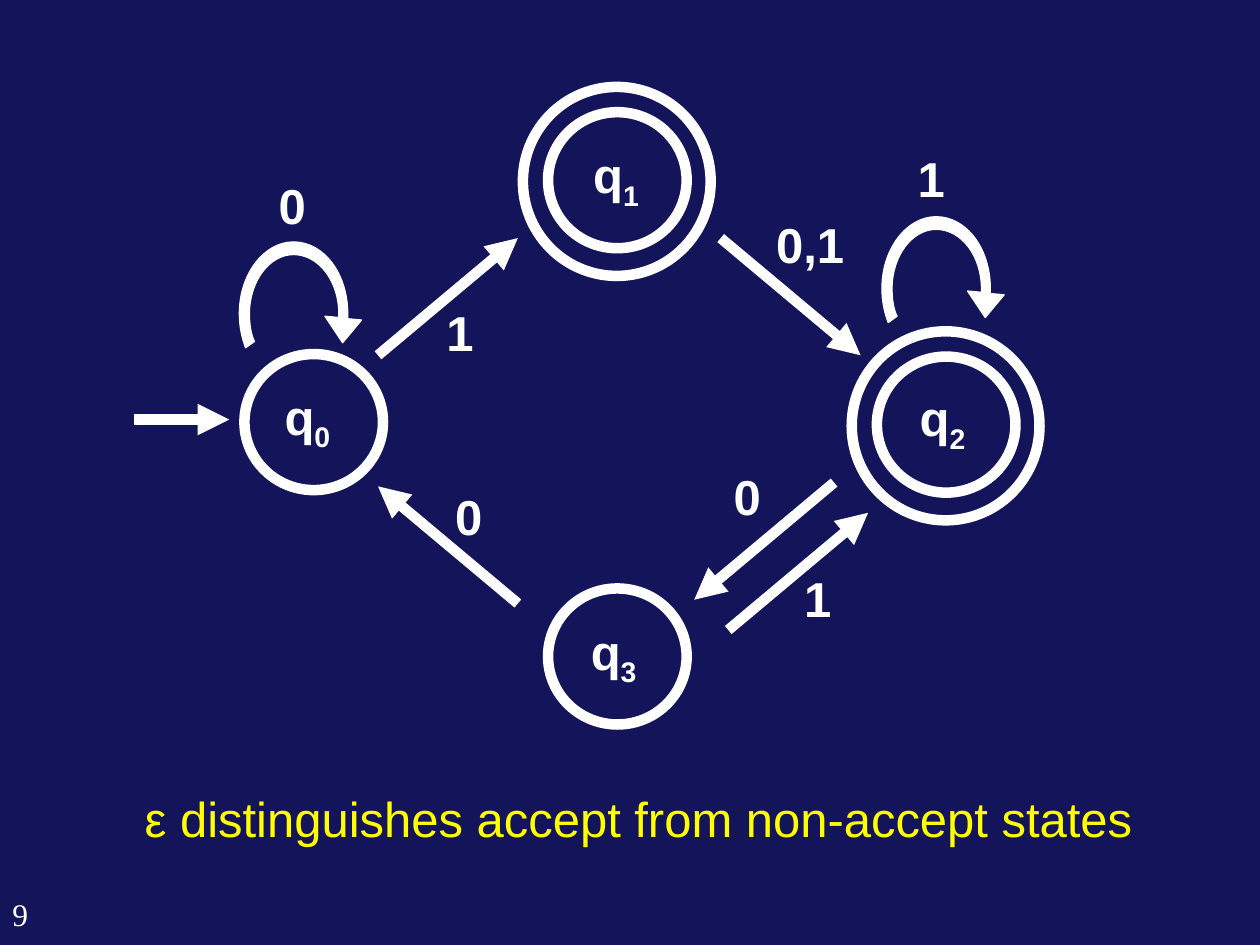
from pptx import Presentation
from pptx.dml.color import RGBColor
from pptx.enum.shapes import MSO_CONNECTOR, MSO_SHAPE
from pptx.enum.text import MSO_AUTO_SIZE, PP_ALIGN
from pptx.oxml.ns import qn
from pptx.util import Inches, Pt
from lxml import etree

STRAIGHT = MSO_CONNECTOR.STRAIGHT
OVAL = MSO_SHAPE.OVAL
FIT_SHAPE = MSO_AUTO_SIZE.SHAPE_TO_FIT_TEXT
LEFT, CENTER = PP_ALIGN.LEFT, PP_ALIGN.CENTER

NAVY = RGBColor(0x14, 0x14, 0x5A)
WHITE = RGBColor(0xFF, 0xFF, 0xFF)
YELLOW = RGBColor(0xFF, 0xFF, 0x00)

# The slide is a grid of 100 columns by 75 rows; all lengths are in cells.
COLUMNS, ROWS = 100, 75
CELL = Inches(0.1)
STROKE = Pt(6)
STATE_SIZE = (11, 10.8)
ACCEPT_SIZE = (14.9, 15)
ACCEPT_MARGIN = 2
LABEL_HEIGHT = 5.7
SLANT = (11.1, 9.3)

# name, corner of the circle, corner of the name, accepting
STATES = [
    ("0", (19.4, 28.1), (21.6, 30.2), False),
    ("1", (43.5, 8.9), (46.1, 11), True),
    ("2", (69.6, 28.3), (72, 30.3), True),
    ("3", (43.5, 46.7), (45.9, 48.8), False),
]
# start, horizontal and vertical direction
SLANTED_ARROWS = [
    ((30, 28.2), 1, -1),
    ((57.2, 18.9), 1, 1),
    ((66.2, 38.3), -1, 1),
    ((57.8, 50), 1, -1),
    ((41.1, 47.9), -1, -1),
]
LOOP_CORNERS = [(19, 19.2), (70, 17.2)]
LOOP_SIZE = (8.6, 11.5)
# The loop's outline from its corner: one point for a line, three for a curve.
LOOP_START = (7.9, 6)
LOOP_SEGMENTS = [
    [(7.9, 5.9), (7.9, 5.8), (7.9, 5.7)],
    [(7.9, 3.1), (6.3, 1), (4.3, 1)],
    [(2.4, 1), (0.8, 3.1), (0.8, 5.7)],
    [(0.8, 6.5), (0.9, 7.3), (1.2, 7.9)],
    [(0.5, 8.4)],
    [(0.2, 7.6), (0, 6.7), (0, 5.7)],
    [(0, 2.5), (2, 0), (4.3, 0)],
    [(6.7, 0), (8.6, 2.5), (8.6, 5.7)],
    [(8.6, 5.8), (8.6, 6), (8.6, 6.1)],
    [(9.7, 6.2)],
    [(8.2, 8)],
    [(6.8, 5.9)],
]
# text, left, top, width
SYMBOLS = [
    ("0", 21.1, 13.4, 4.2),
    ("0,1", 60.6, 16.5, 7.4),
    ("0", 57.2, 36.5, 4.2),
    ("0", 35.1, 38.1, 4.2),
    ("1", 34.4, 23.5, 4.2),
    ("1", 62.8, 44.6, 4.2),
    ("1", 71.8, 11.3, 4.2),
]


def cells(*lengths):
    return [round(length * CELL) for length in lengths]


def add_text(slide, box, runs, size=28, font="Arial", color=WHITE, bold=True,
             align=LEFT, wrap=False):
    """Add a one-line box; runs are pairs of text and subscript flag."""
    frame = slide.shapes.add_textbox(*cells(*box)).text_frame
    frame.word_wrap = wrap
    frame.auto_size = FIT_SHAPE
    paragraph = frame.paragraphs[0]
    paragraph.alignment = align
    for text, subscript in runs:
        run = paragraph.add_run()
        run.text = text
        run.font.size = Pt(size)
        run.font.name = font
        run.font.bold = bold
        run.font.color.rgb = color
        if subscript:
            run.font._element.set("baseline", "-25000")


def add_ring(slide, corner, size):
    ring = slide.shapes.add_shape(OVAL, *cells(*corner, *size))
    ring.shadow.inherit = False
    ring.fill.background()
    ring.line.color.rgb = WHITE
    ring.line.width = STROKE


def add_state(slide, name, corner, name_corner, accepting):
    add_ring(slide, corner, STATE_SIZE)
    if accepting:
        outer_corner = [length - ACCEPT_MARGIN for length in corner]
        add_ring(slide, outer_corner, ACCEPT_SIZE)
    add_text(slide, (*name_corner, 5.9, LABEL_HEIGHT),
             [("q", False), (name, True)])


def add_arrow(slide, start, end):
    arrow = slide.shapes.add_connector(STRAIGHT, *cells(*start, *end))
    arrow.line.color.rgb = WHITE
    arrow.line.width = STROKE
    line = arrow.line._get_or_add_ln()
    etree.SubElement(line, qn("a:tailEnd"), type="triangle")
    etree.SubElement(arrow._element.spPr, qn("a:effectLst"))


def bend_segments(shape, segments):
    """Turn each three straight segments that stand for a curve into one."""
    straight = iter(list(shape._element.iter(qn("a:lnTo"))))
    for segment in segments:
        first, *others = [next(straight) for _ in segment]
        if others:
            first.tag = qn("a:cubicBezTo")
            for other in others:
                first.append(other[0])
                other.getparent().remove(other)


def add_loop(slide, corner):
    """Draw a self-transition: a curved band that ends in an arrowhead."""
    def place(point):
        return cells(corner[0] + point[0], corner[1] + point[1])

    builder = slide.shapes.build_freeform(*place(LOOP_START))
    builder.add_line_segments(
        [place(point) for segment in LOOP_SEGMENTS for point in segment],
        close=True)
    loop = builder.convert_to_shape()
    bend_segments(loop, LOOP_SEGMENTS)
    loop.width, loop.height = cells(*LOOP_SIZE)
    outline = next(loop._element.iter(qn("a:path")))
    outline.set("w", str(loop.width))
    outline.set("h", str(loop.height))
    loop.shadow.inherit = False
    loop.fill.solid()
    loop.fill.fore_color.rgb = WHITE
    loop.line.color.rgb = WHITE
    loop.line.width = Pt(0.75)


def main():
    presentation = Presentation()
    presentation.slide_width = COLUMNS * CELL
    presentation.slide_height = ROWS * CELL
    slide = presentation.slides.add_slide(presentation.slide_layouts[6])
    slide.background.fill.solid()
    slide.background.fill.fore_color.rgb = NAVY

    add_text(slide, (0, 70.5, 5.7, 4.5), [("9", False)], size=18,
             font="Times New Roman", bold=False, wrap=True)
    for state in STATES:
        add_state(slide, *state)
    add_arrow(slide, (10.6, 33.3), (18.2, 33.3))
    for (x, y), across, down in SLANTED_ARROWS:
        add_arrow(slide, (x, y), (x + across * SLANT[0], y + down * SLANT[1]))
    for corner in LOOP_CORNERS:
        add_loop(slide, corner)
    for text, left, top, width in SYMBOLS:
        add_text(slide, (left, top, width, LABEL_HEIGHT), [(text, False)],
                 align=CENTER)
    add_text(slide, (10.5, 62.1, 81.5, LABEL_HEIGHT),
             [("ε distinguishes accept from non-accept states", False)],
             color=YELLOW, bold=False, wrap=True)
    presentation.save("out.pptx")


if __name__ == "__main__":
    main()
